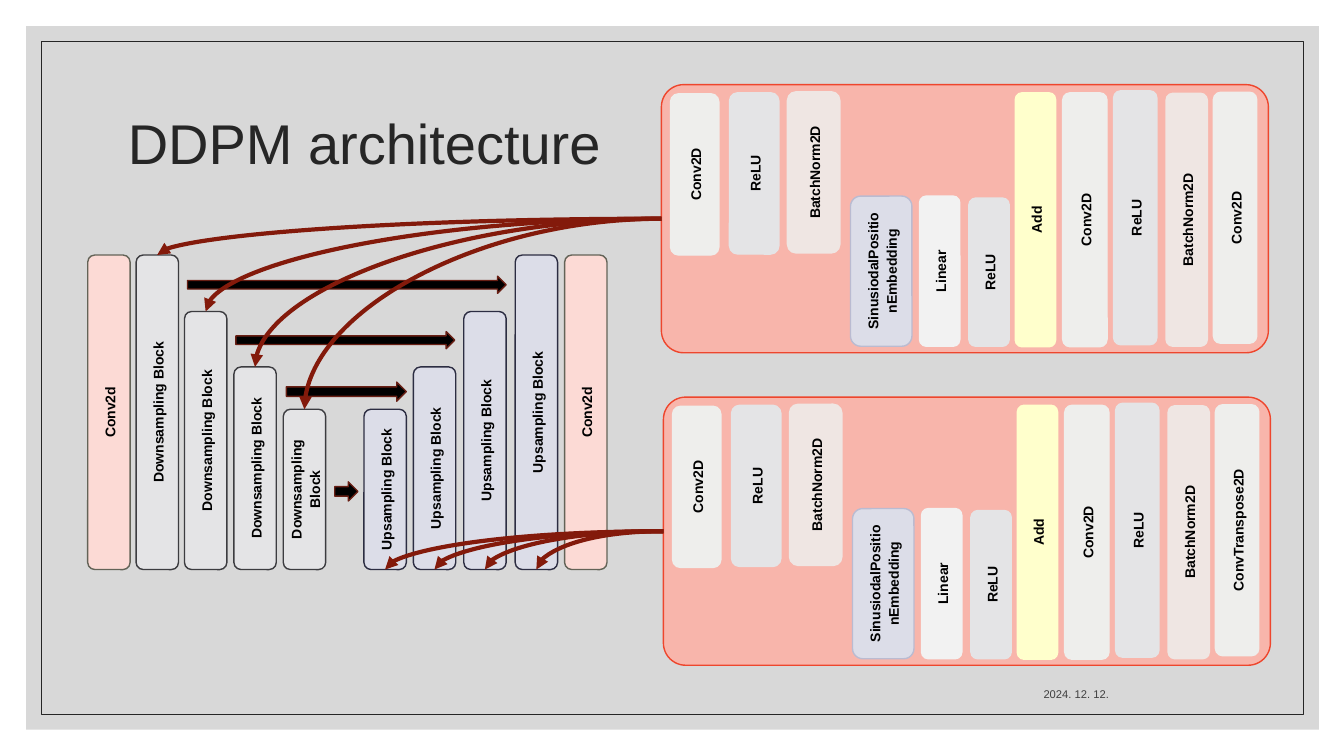
from typing import NamedTuple

from pptx import Presentation
from pptx.dml.color import RGBColor
from pptx.enum.shapes import MSO_CONNECTOR, MSO_SHAPE
from pptx.enum.text import MSO_ANCHOR, PP_ALIGN
from pptx.oxml.ns import qn
from pptx.util import Inches, Pt
from lxml.etree import SubElement

FONT = "Arial"
RED = "831A0B"


class Style(NamedTuple):
    fill: str
    line: str


class Bar(NamedTuple):
    """An upright block, placed by its centre, with text reading upwards."""
    label: str
    style: Style
    cx: float
    cy: float
    height: float
    width: float


class Panel(NamedTuple):
    left: float
    top: float
    last_label: str
    targets: list[tuple[float, float]]


OUTER = Style("FCDAD5", "636357")
DOWN = Style("E4E4E6", "3C3C40")
UP = Style("DCDDE8", "2C2D42")
SKIP = Style("000000", "681F14")
PANEL = Style("F8B5AB", "EE462D")
CONV = Style("EEEEEC", "EEEEEC")
RELU = Style("E4E4E6", "E4E4E6")
NORM = Style("EFE6E3", "EFE6E3")
EMBED = Style("DCDDE8", "BABBD1")
LINEAR = Style("F2F2F2", "F2F2F2")
ADD = Style("FFFFCC", "FFFFCC")

HEIGHTS = [3.12, 2.56, 2.01, 1.59]
DOWN_X = [1.56, 2.04, 2.53, 3.02]
UP_X = [5.32, 4.81, 4.31, 3.82]
BOTTOM, BAR_W = 5.65, 0.42

# left, top, width, height
SKIPS = [
    (3.32, 4.78, 0.23, 0.19),
    (2.84, 3.79, 1.19, 0.19),
    (2.34, 3.29, 2.17, 0.17),
    (1.86, 2.74, 3.16, 0.17),
]

# Centres are measured from the corner of the panel
LAYERS = [
    Bar("Conv2D", CONV, 0.33, 0.89, 1.6, 0.48),
    Bar("ReLU", RELU, 0.92, 0.88, 1.6, 0.49),
    Bar("BatchNorm2D", NORM, 1.51, 0.87, 1.6, 0.52),
    Bar("SinusiodalPositionEmbedding", EMBED, 2.18, 1.85, 1.49, 0.61),
    Bar("Linear", LINEAR, 2.76, 1.85, 1.49, 0.4),
    Bar("ReLU", RELU, 3.25, 1.86, 1.47, 0.4),
    Bar("Add", ADD, 3.71, 1.34, 2.52, 0.4),
    Bar("Conv2D", CONV, 4.2, 1.34, 2.52, 0.44),
    Bar("ReLU", RELU, 4.7, 1.32, 2.52, 0.43),
    Bar("BatchNorm2D", NORM, 5.21, 1.34, 2.51, 0.41),
]
PANEL_W, PANEL_H = 6.02, 2.66

PANELS = [
    Panel(6.56, 0.84, "Conv2D", [(x, BOTTOM - h) for x, h in zip(DOWN_X, HEIGHTS)]),
    Panel(6.58, 3.94, "ConvTranspose2D", [(x, BOTTOM) for x in reversed(UP_X)]),
]


def rgb(value: str) -> RGBColor:
    return RGBColor.from_string(value)


def add_box(shapes, kind, box, fill: str | None, line: str | None, weight: float = 1):
    sp = shapes.add_shape(kind, *map(Inches, box))
    sp.shadow.inherit = False
    if fill:
        sp.fill.solid()
        sp.fill.fore_color.rgb = rgb(fill)
    else:
        sp.fill.background()
    if line:
        sp.line.color.rgb = rgb(line)
        sp.line.width = Pt(weight)
    else:
        sp.line.fill.background()
    return sp


def write(sp, text: str, size: float, color: str, anchor, bold: bool = False, **para) -> None:
    tf = sp.text_frame
    tf.word_wrap = True
    tf.vertical_anchor = anchor
    p = tf.paragraphs[0]
    for name, value in para.items():
        setattr(p, name, value)
    r = p.add_run()
    r.text = text
    for name, value in {"name": FONT, "size": Pt(size), "bold": bold}.items():
        setattr(r.font, name, value)
    r.font.color.rgb = rgb(color)


def add_bar(shapes, bar: Bar) -> None:
    box = (bar.cx - bar.height / 2, bar.cy - bar.width / 2, bar.height, bar.width)
    sp = add_box(shapes, MSO_SHAPE.ROUNDED_RECTANGLE, box, *bar.style)
    sp.rotation = 270
    write(sp, bar.label, 10, "000000", MSO_ANCHOR.MIDDLE, bold=True,
          alignment=PP_ALIGN.CENTER, line_spacing=1.1, space_after=Pt(6))


def add_arc(shapes, start: tuple[float, float], end: tuple[float, float]) -> None:
    """Draw a quarter-curve arrow that leaves sideways and lands downwards."""
    cx = shapes.add_connector(MSO_CONNECTOR.CURVE, *map(Inches, start + end))
    cx.line.color.rgb = rgb(RED)
    cx.line.width = Pt(3)
    props = cx.line._get_or_add_ln()
    SubElement(props, qn("a:tailEnd"), type="triangle")
    sp_pr = props.getparent()
    sp_pr.find(qn("a:prstGeom")).set("prst", "curvedConnector2")
    SubElement(sp_pr, qn("a:effectLst"))


def add_background(shapes) -> None:
    mat = add_box(shapes, MSO_SHAPE.RECTANGLE, (0.26, 0.26, 12.82, 6.98), "BFBFBF", None)
    color = mat.fill._xPr.find(qn("a:solidFill"))[0]
    SubElement(color, qn("a:alpha"), val="60000")
    add_box(shapes, MSO_SHAPE.RECTANGLE, (0.41, 0.41, 12.52, 6.68), None, "262626", 0.5)


def add_network(shapes) -> None:
    bars = [Bar("Conv2d", OUTER, x, BOTTOM - HEIGHTS[0] / 2, HEIGHTS[0], BAR_W)
            for x in (1.08, 5.81)]
    for label, style, centres in (("Downsampling Block", DOWN, DOWN_X),
                                  ("Upsampling Block", UP, UP_X)):
        bars += [Bar(label, style, x, BOTTOM - h / 2, h, BAR_W)
                 for x, h in zip(centres, HEIGHTS)]
    for bar in bars:
        add_bar(shapes, bar)
    for box in SKIPS:
        add_box(shapes, MSO_SHAPE.RIGHT_ARROW, box, *SKIP)


def add_panel(shapes, panel: Panel) -> None:
    box = (panel.left, panel.top, PANEL_W, PANEL_H)
    sp = add_box(shapes, MSO_SHAPE.ROUNDED_RECTANGLE, box, *PANEL)
    sp.adjustments[0] = 0.083
    last = Bar(panel.last_label, CONV, 5.69, 1.32, 2.49, 0.43)
    for bar in LAYERS + [last]:
        add_bar(shapes, bar._replace(cx=panel.left + bar.cx, cy=panel.top + bar.cy))


def main() -> None:
    prs = Presentation()
    prs.slide_width, prs.slide_height = Inches(13.33), Inches(7.5)
    s = prs.slides.add_slide(prs.slide_layouts[6])
    add_background(s.shapes)

    title = s.shapes.add_textbox(*map(Inches, (1.17, 0.7, 11, 1.5)))
    write(title, "DDPM architecture", 40, "262626", MSO_ANCHOR.MIDDLE, line_spacing=0.9)
    date = s.shapes.add_textbox(*map(Inches, (7.94, 6.6, 3.16, 0.4)))
    write(date, "2024. 12. 12.", 8, "404040", MSO_ANCHOR.BOTTOM, alignment=PP_ALIGN.RIGHT)

    add_network(s.shapes.add_group_shape().shapes)
    for panel in PANELS:
        add_panel(s.shapes.add_group_shape().shapes, panel)
    for panel in PANELS:
        for target in panel.targets:
            add_arc(s.shapes, (panel.left, panel.top + PANEL_H / 2), target)
    prs.save("out.pptx")


if __name__ == "__main__":
    main()
